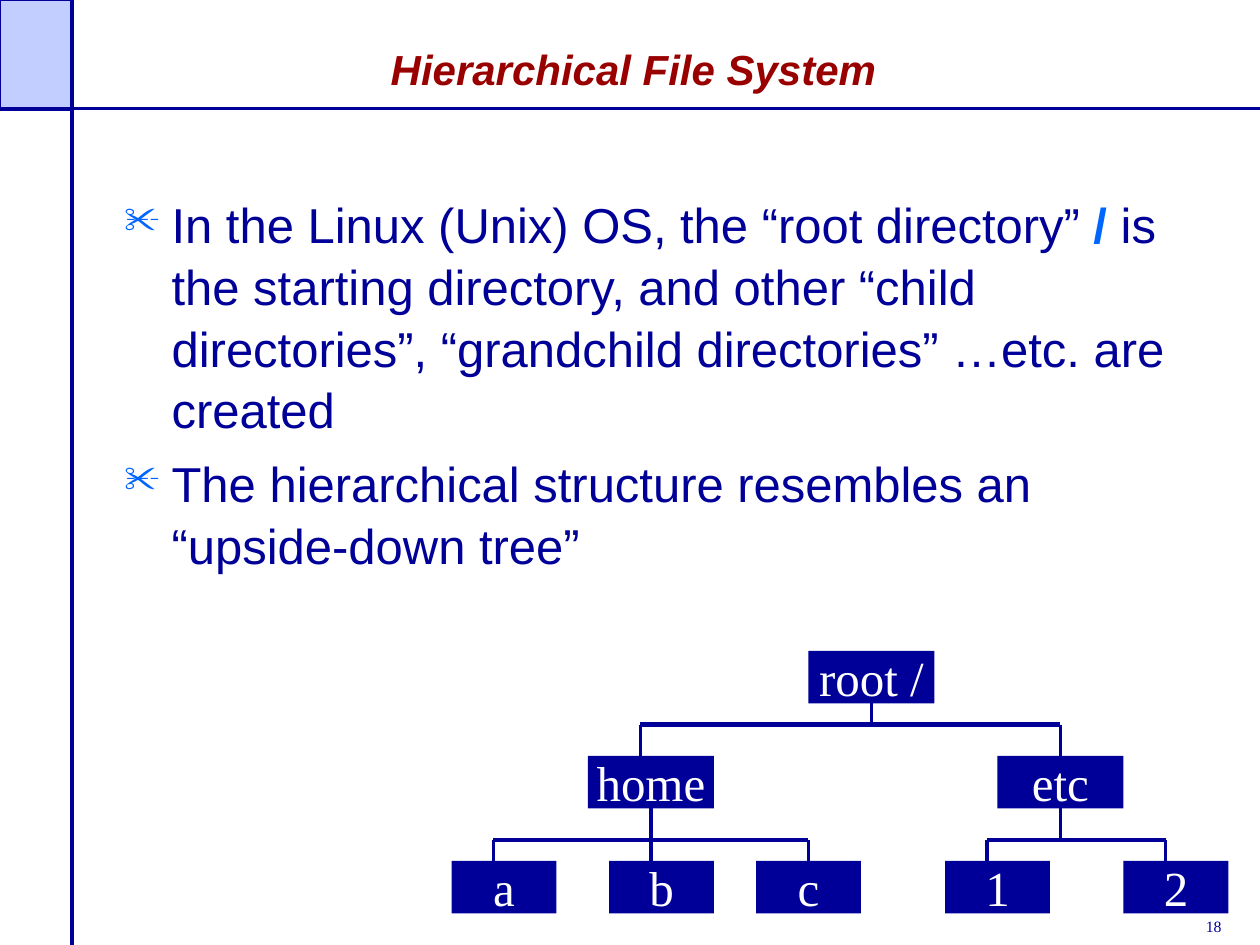
import pptx
import pptx.dml.color
import pptx.enum.shapes
import pptx.enum.text
import pptx.oxml.ns
import pptx.util
from lxml import etree

Pt = pptx.util.Pt
ALIGN = pptx.enum.text.PP_ALIGN
ANCHOR = pptx.enum.text.MSO_ANCHOR
RECTANGLE = pptx.enum.shapes.MSO_SHAPE.RECTANGLE
STRAIGHT = pptx.enum.shapes.MSO_CONNECTOR.STRAIGHT
qn = pptx.oxml.ns.qn

COLOURS = {"navy": "000099", "pale": "C1CEFF", "red": "990000",
           "blue": "0066FF", "white": "FFFFFF"}

TITLE_FONT = {"name": "Arial", "size": Pt(24), "bold": True, "italic": True}
BODY_FONT = {"name": "Arial", "size": Pt(28)}
NODE_FONT = {"name": "Times New Roman", "size": Pt(28)}
NUMBER_FONT = {"name": "Times New Roman", "size": Pt(9)}

# Each bullet is a list of (text, colour, bold)
BULLETS = [
    [("In the Linux (Unix) OS, the “root directory” ", "navy", False),
     ("/ ", "blue", True),
     ("is the starting directory, and other “child directories”, "
      "“grandchild directories” …etc. are created", "navy", False)],
    [("The hierarchical structure resembles an “upside-down tree”", "navy", False)],
]

# Each tree level: top, box width, and (label, left) of its boxes
NODE_HEIGHT = 30
LEVELS = [
    (372, 72, [("root /", 462)]),
    (432, 72, [("home", 336), ("etc", 570)]),
    (492, 60, [("a", 258), ("b", 348), ("c", 432), ("1", 540), ("2", 642)]),
]

# Each branch: parent x, parent bottom, bar y, bar width, {child x: child end}
BRANCHES = [
    (498, 402, 414, 3, {366: 438, 606: 432}),
    (372, 462, 480, 2.25, {282: 492, 372: 492, 462: 492}),
    (606, 462, 480, 2.25, {564: 492, 666: 492}),
]


def colour(name):
    return pptx.dml.color.RGBColor.from_string(COLOURS[name])


def format_font(font, values, colour_name):
    for key, value in values.items():
        setattr(font, key, value)
    font.color.rgb = colour(colour_name)


def add_rectangle(slide, left, top, width, height, fill, line=None):
    shape = slide.shapes.add_shape(RECTANGLE, Pt(left), Pt(top), Pt(width), Pt(height))
    shape.shadow.inherit = False
    shape.fill.solid()
    shape.fill.fore_color.rgb = colour(fill)
    if line:
        shape.line.color.rgb = colour(line)
        shape.line.width = Pt(1)
    else:
        shape.line.fill.background()
    return shape


def add_line(slide, start, end, width=2.25):
    connector = slide.shapes.add_connector(STRAIGHT, *map(Pt, start + end))
    connector.line.color.rgb = colour("navy")
    connector.line.width = Pt(width)
    etree.SubElement(connector._element.spPr, qn("a:effectLst"))


def add_text_box(slide, left, top, width, height, wrap):
    box = slide.shapes.add_textbox(Pt(left), Pt(top), Pt(width), Pt(height))
    box.text_frame.word_wrap = wrap
    return box.text_frame


def add_bullet(paragraph):
    properties = paragraph._p.get_or_add_pPr()
    properties.set("marL", str(Pt(27)))
    properties.set("indent", str(Pt(-27)))
    bullet_colour = etree.SubElement(properties, qn("a:buClr"))
    etree.SubElement(bullet_colour, qn("a:srgbClr"), val=COLOURS["blue"])
    etree.SubElement(properties, qn("a:buSzPct"), val="75000")
    etree.SubElement(properties, qn("a:buChar"), char="✂")


def add_frame(slide):
    add_rectangle(slide, 0, 0, 41, 63, "pale", "navy")
    add_line(slide, (0, 62), (720, 62))
    add_line(slide, (41, 0), (41, 540))
    paragraph = add_text_box(slide, 682, 520.5, 52, 18, False).paragraphs[0]
    paragraph.text = "18"
    format_font(paragraph.font, NUMBER_FONT, "navy")


def add_title(slide):
    title = slide.shapes.title
    box = {"left": 49, "top": 9.5, "width": 626, "height": 47.5}
    for key, value in box.items():
        setattr(title, key, Pt(value))
    frame = title.text_frame
    frame.auto_size = pptx.enum.text.MSO_AUTO_SIZE.NONE
    frame.vertical_anchor = ANCHOR.BOTTOM
    paragraph = frame.paragraphs[0]
    paragraph.text = "Hierarchical File System"
    paragraph.alignment = ALIGN.CENTER
    format_font(paragraph.font, TITLE_FONT, "red")


def add_body(slide):
    frame = add_text_box(slide, 64, 106, 612, 324, True)
    for index, runs in enumerate(BULLETS):
        paragraph = frame.add_paragraph() if index else frame.paragraphs[0]
        add_bullet(paragraph)
        paragraph.line_spacing = 1.05
        paragraph.space_before = Pt(7 if index else 0)
        for text, colour_name, bold in runs:
            run = paragraph.add_run()
            run.text = text
            format_font(run.font, {**BODY_FONT, "bold": bold}, colour_name)


def add_node(slide, label, left, top, width):
    frame = add_rectangle(slide, left, top, width, NODE_HEIGHT, "navy").text_frame
    frame.word_wrap = False
    frame.vertical_anchor = ANCHOR.MIDDLE
    paragraph = frame.paragraphs[0]
    paragraph.text = label
    paragraph.alignment = ALIGN.CENTER
    format_font(paragraph.font, NODE_FONT, "white")


def add_branch(slide, parent_x, parent_bottom, bar_y, bar_width, children):
    add_line(slide, (min(children), bar_y), (max(children), bar_y), bar_width)
    add_line(slide, (parent_x, parent_bottom), (parent_x, bar_y))
    for child_x, child_end in children.items():
        add_line(slide, (child_x, bar_y), (child_x, child_end))


def main():
    presentation = pptx.Presentation()
    presentation.slide_width = Pt(720)
    presentation.slide_height = Pt(540)
    slide = presentation.slides.add_slide(presentation.slide_layouts[5])

    add_frame(slide)
    add_title(slide)
    add_body(slide)

    # Directory tree
    for branch in BRANCHES:
        add_branch(slide, *branch)
    for top, width, nodes in LEVELS:
        for label, left in nodes:
            add_node(slide, label, left, top, width)

    presentation.save("out.pptx")


if __name__ == "__main__":
    main()
